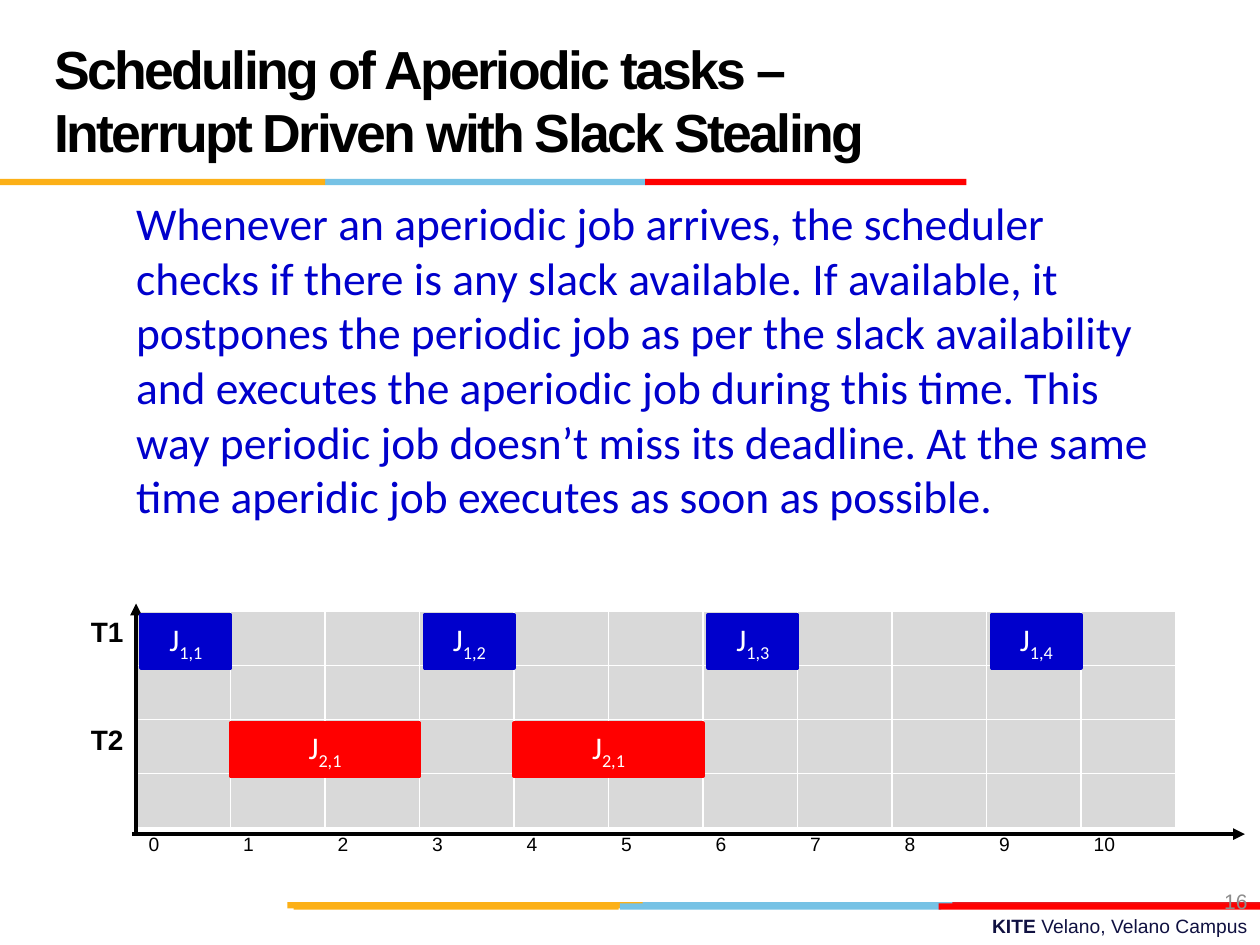
"""Build a slide on slack stealing with a timeline of two periodic tasks."""
from lxml import etree
from pptx import Presentation, util as u
from pptx.dml.color import RGBColor
from pptx.enum import shapes, text
from pptx.oxml import ns

TITLE = "Scheduling of Aperiodic tasks – Interrupt Driven with Slack Stealing"
BODY = (
    "Whenever an aperiodic job arrives, the scheduler checks if there is any slack "
    "available. If available, it postpones the periodic job as per the slack "
    "availability and executes the aperiodic job during this time. This way periodic "
    "job doesn’t miss its deadline. At the same time aperidic job executes as soon "
    "as possible."
)
FOOTER = [("KITE ", True), ("Velano, Velano Campus", False)]
PAGE_NUMBER = "16"
COLORS = {
    "gold": "FCB017", "sky": "76C2E5", "crimson": "E31C24", "red": "FF0000",
    "blue": "0000CC", "grid": "D9D9D9", "black": "000000", "white": "FFFFFF",
    "navy": "101141", "gray": "8C8C8C",
}
STRIPES = [
    (7.16, [("sky", 5.06, 7.61), ("crimson", 7.56, 10), ("gold", 2.28, 5.1)]),
    (7.17, [("sky", 4.92, 7.47), ("gold", 2.33, 4.91), ("red", 7.45, 10)]),
    (1.42, [("sky", 2.58, 5.13), ("gold", 0, 2.58), ("red", 5.12, 7.67)]),
]
STRIPE_HEIGHT = 0.05
TASK_ROWS = {"T1": 1, "T2": 3}
JOBS = [
    ("T1", "1,1", 0, 1), ("T2", "2,1", 1, 2), ("T1", "1,2", 3, 1),
    ("T1", "1,3", 6, 1), ("T1", "1,4", 9, 1), ("T2", "2,1", 4, 2),
]
ROWS, COLUMNS = 6, 12
LEFT, TOP, COLUMN, ROW = 0.33, 4.42, 0.75, 0.43
ORIGIN = LEFT + COLUMN
AXIS_Y = 6.62
AXES = [((ORIGIN, AXIS_Y), (ORIGIN, 4.79)), ((1.05, AXIS_Y), (9.88, AXIS_Y))]


def color(name):
    return RGBColor.from_string(COLORS[name])


def inches(*values):
    return [u.Inches(value) for value in values]


def add_span(para, words, size, fill, font="Arial", bold=False, **extra):
    span = para.add_run()
    span.text = words
    span.font.size, span.font.name, span.font.bold = u.Pt(size), font, bold
    span.font.color.rgb = color(fill)
    for key, value in extra.items():
        span._r.get_or_add_rPr().set(key, str(value))


def add_box(page, area, fill, outline=None):
    box = page.shapes.add_shape(shapes.MSO_SHAPE.RECTANGLE, *inches(*area))
    box.shadow.inherit = False
    box.fill.solid()
    box.fill.fore_color.rgb = color(fill)
    if outline:
        box.line.color.rgb, box.line.width = color(fill), u.Pt(outline)
    else:
        box.line.fill.background()
    return box


def add_label(page, area, spans, size, fill, anchor):
    frame = page.shapes.add_textbox(*inches(*area)).text_frame
    frame.word_wrap, frame.vertical_anchor = True, anchor
    para = frame.paragraphs[0]
    para.alignment = text.PP_ALIGN.RIGHT
    for words, bold in spans:
        add_span(para, words, size, fill, bold=bold)


def place(holder, area, anchor):
    holder.left, holder.top, holder.width, holder.height = inches(*area)
    frame = holder.text_frame
    frame.word_wrap, frame.vertical_anchor = True, anchor
    frame.auto_size = text.MSO_AUTO_SIZE.NONE
    para = frame.paragraphs[0]
    para.alignment = text.PP_ALIGN.LEFT
    return para


def add_text(page):
    heading = place(page.shapes.title, (0.33, 0.17, 6.92, 1.25), text.MSO_ANCHOR.MIDDLE)
    heading.line_spacing = u.Pt(36)
    add_span(heading, TITLE, 30.6, "black", bold=True, spc=-150)
    para = place(page.placeholders[1], (0.42, 1.5, 9, 3.08), text.MSO_ANCHOR.TOP)
    para.space_before = u.Pt(5)
    layout = para._p.get_or_add_pPr()
    layout.set("marL", str(u.Inches(0.56)))
    layout.set("indent", "0")
    etree.SubElement(layout, ns.qn("a:buNone"))
    add_span(para, BODY, 26, "blue", "Calibri")


def add_grid(page):
    area = inches(LEFT, TOP, COLUMNS * COLUMN, ROWS * ROW)
    table = page.shapes.add_table(ROWS, COLUMNS, *area).table
    table.horz_banding = False
    for row in range(ROWS):
        for column in range(COLUMNS):
            cell = table.cell(row, column)
            if column and 0 < row < ROWS - 1:
                cell.fill.solid()
                cell.fill.fore_color.rgb = color("grid")
            else:
                cell.fill.background()
    for task, row in TASK_ROWS.items():
        para = table.cell(row, 0).text_frame.paragraphs[0]
        para.alignment = text.PP_ALIGN.RIGHT
        add_span(para, task, 16, "black", bold=True)
    for tick in range(COLUMNS - 1):
        para = table.cell(ROWS - 1, tick + 1).text_frame.paragraphs[0]
        add_span(para, str(tick), 11, "black")


def add_axis(page, start, end):
    axis = page.shapes.add_connector(
        shapes.MSO_CONNECTOR.STRAIGHT, *inches(*start, *end))
    axis.line.color.rgb, axis.line.width = color("black"), u.Pt(2.25)
    etree.SubElement(axis.line._get_or_add_ln(), ns.qn("a:tailEnd"), type="triangle")
    etree.SubElement(axis._element.spPr, ns.qn("a:effectLst"))


def add_job(page, task, number, start, length):
    gap = 0.04 if task == "T1" else 0
    area = (ORIGIN + start * COLUMN + gap, TOP + TASK_ROWS[task] * ROW + 0.03,
            length * COLUMN - gap, 0.42)
    box = add_box(page, area, "blue" if task == "T1" else "red", 2)
    box.text_frame.vertical_anchor = text.MSO_ANCHOR.MIDDLE
    para = box.text_frame.paragraphs[0]
    para.alignment = text.PP_ALIGN.CENTER
    add_span(para, "J", 18, "white", "Calibri")
    add_span(para, number, 18, "white", "Calibri", baseline=-25000)


def main():
    deck = Presentation()
    deck.slide_width, deck.slide_height = inches(10, 7.5)
    page = deck.slides.add_slide(deck.slide_layouts[1])
    add_label(page, (3.58, 7.21, 6.42, 0.29), FOOTER, 11, "navy", text.MSO_ANCHOR.TOP)
    for top, parts in STRIPES:
        for fill, start, end in parts:
            add_box(page, (start, top, end - start, STRIPE_HEIGHT), fill)
    add_text(page)
    add_label(page, (7.67, 6.95, 2.33, 0.4), [(PAGE_NUMBER, False)], 12, "gray",
              text.MSO_ANCHOR.MIDDLE)
    add_grid(page)
    for start, end in AXES:
        add_axis(page, start, end)
    for job in JOBS:
        add_job(page, *job)
    deck.save("out.pptx")


if __name__ == "__main__":
    main()
